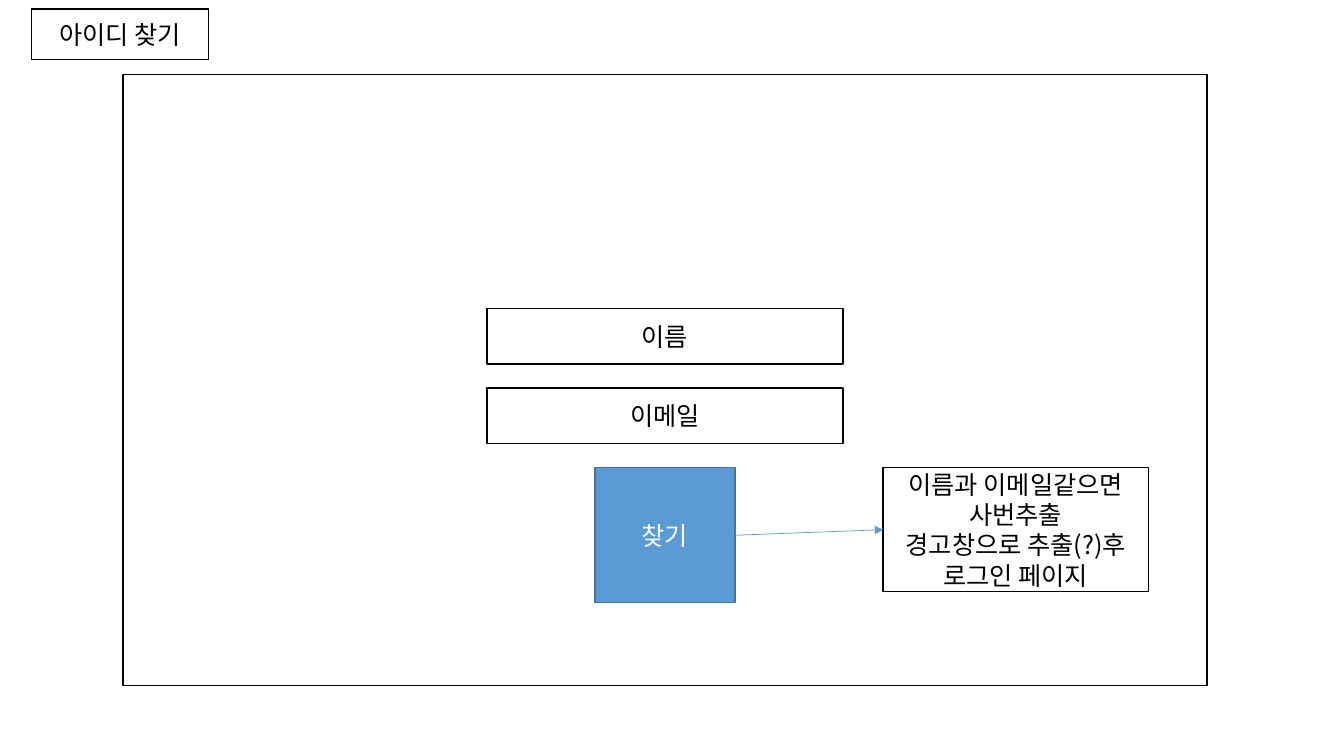
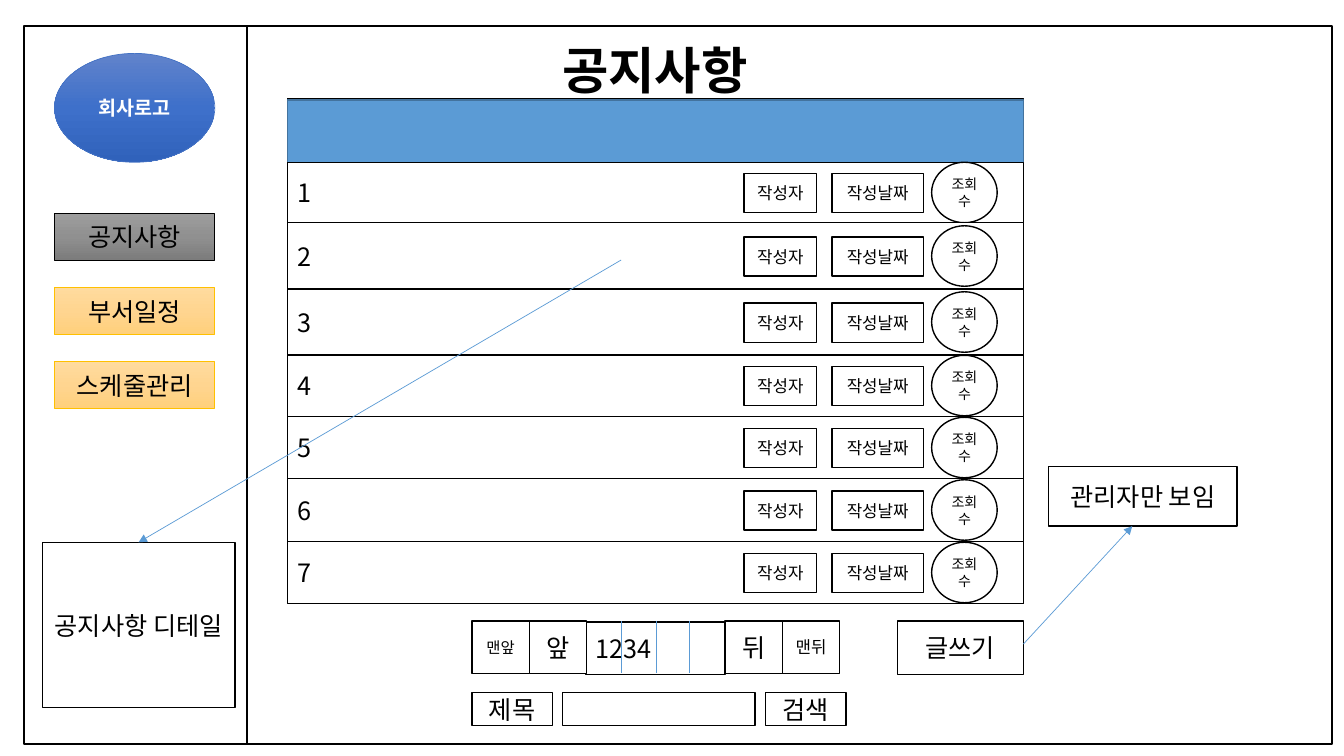
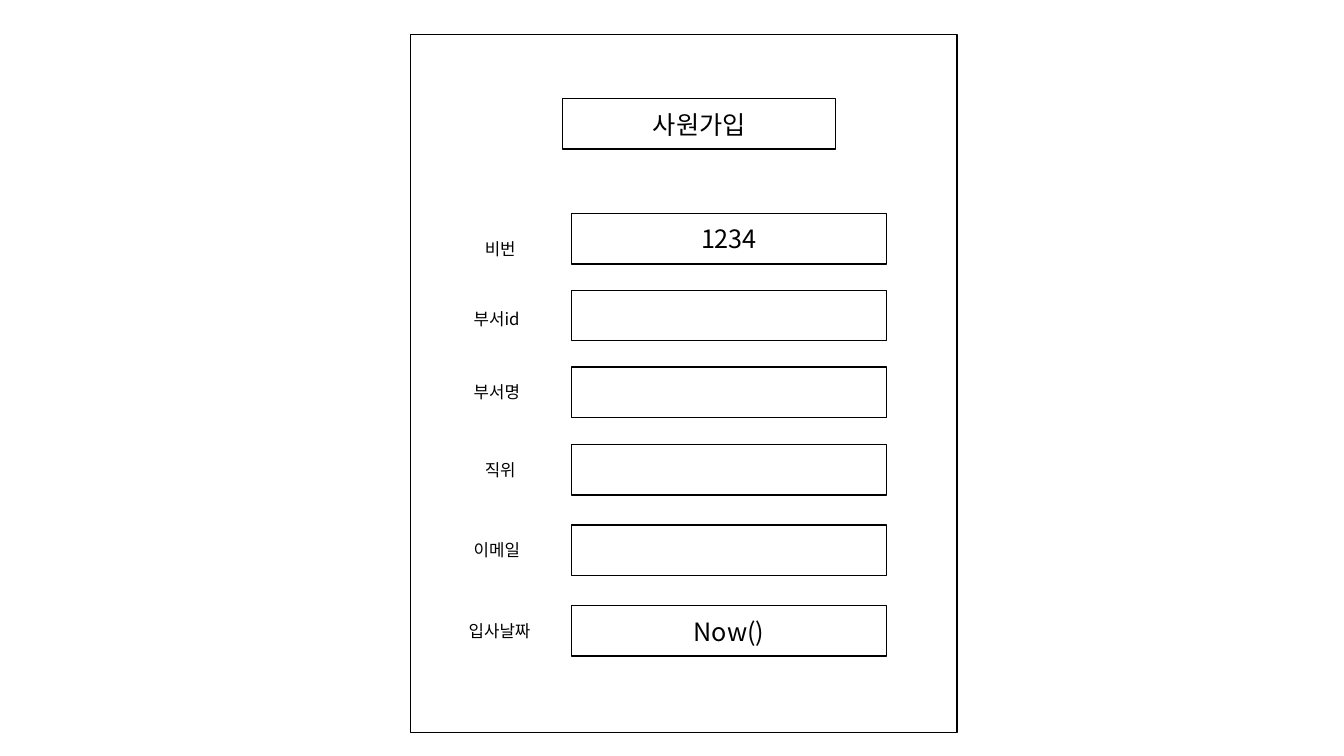
from copy import deepcopy

from lxml import etree
from pptx import Presentation
from pptx.dml.color import RGBColor
from pptx.enum import shapes, text
from pptx.oxml.ns import qn
from pptx.util import Inches, Pt

FONT = "Noto Sans CJK KR"
BLACK = RGBColor(0x00, 0x00, 0x00)
WHITE = RGBColor(0xFF, 0xFF, 0xFF)
BLUE = RGBColor(0x5B, 0x9B, 0xD5)
BLUE_EDGE = RGBColor(0x43, 0x73, 0x9E)
LOGO_EDGE = RGBColor(0x44, 0x72, 0xC4)
GOLD_EDGE = RGBColor(0xFF, 0xC0, 0x00)
GRAY_FADE = [RGBColor(0x9D, 0x9D, 0x9D), RGBColor(0x90, 0x90, 0x90), RGBColor(0x7C, 0x7C, 0x7C)]
LOGO_FADE = [RGBColor(0x61, 0x83, 0xCB), RGBColor(0x3E, 0x70, 0xCA), RGBColor(0x30, 0x62, 0xBB)]
GOLD_FADE = [RGBColor(0xFF, 0xDB, 0x9E), RGBColor(0xFF, 0xD5, 0x90), RGBColor(0xFF, 0xD0, 0x7C)]
RECT = shapes.MSO_SHAPE.RECTANGLE
OVAL = shapes.MSO_SHAPE.OVAL
CENTER = text.PP_ALIGN.CENTER
LEFT = text.PP_ALIGN.LEFT
TITLE = "title"


def write(tf, words, size=18, color=BLACK, bold=False, align=CENTER):
    tf.word_wrap = True
    for i, line in enumerate(words.split("\n")):
        p = tf.add_paragraph() if i else tf.paragraphs[0]
        p.alignment = align
        r = p.add_run()
        r.text = line
        r.font.name = FONT
        r.font.size = Pt(size)
        r.font.bold = bold
        r.font.color.rgb = color
        etree.SubElement(r.font._element, qn("a:ea"), typeface=FONT)


def box(s, left, top, width, height, words="", kind=RECT, fill=WHITE,
        edge=BLACK, weight=1, **style):
    at = [Inches(v) for v in (left, top, width, height)]
    if kind == TITLE:
        sp = s.shapes.title
        sp.left, sp.top, sp.width, sp.height = at
        s.shapes._spTree.append(sp._element)
        sp.text_frame.auto_size = text.MSO_AUTO_SIZE.NONE
    else:
        sp = s.shapes.add_shape(kind, *at)
    sp.shadow.inherit = False
    if isinstance(fill, list):
        sp.fill.gradient()
        sp.fill.gradient_angle = 270
        stops = sp._element.spPr.find(".//" + qn("a:gsLst"))
        stops.append(deepcopy(stops[0]))
        for stop, position, color in zip(sp.fill.gradient_stops, (0, 0.5, 1), fill):
            stop.position = position
            stop.color.rgb = color
    else:
        sp.fill.solid()
        sp.fill.fore_color.rgb = fill
    sp.line.color.rgb = edge
    sp.line.width = Pt(weight)
    sp.text_frame.vertical_anchor = text.MSO_ANCHOR.MIDDLE
    if words:
        write(sp.text_frame, words, **style)
    return sp


prs = Presentation()
prs.slide_width = Inches(13.33)
prs.slide_height = Inches(7.5)
find_id, notices, sign_up = [prs.slides.add_slide(prs.slide_layouts[5]) for _ in range(3)]

box(find_id, 1.22, 0.74, 10.75, 6.06)
box(find_id, 0.31, 0.09, 1.76, 0.5, "아이디 찾기", TITLE)
for i, field in enumerate(["이름", "이메일"]):
    box(find_id, 4.83, 3.06 + 0.79 * i, 3.53, 0.55, field)
search = box(find_id, 5.9, 4.64, 1.39, 1.34, "찾기", fill=BLUE, edge=BLUE_EDGE, color=WHITE)
result = box(find_id, 8.76, 4.64, 2.63, 1.23,
             "이름과 이메일같으면 사번추출\n경고창으로 추출(?)후 로그인 페이지")

box(notices, 0.24, 0.26, 12.97, 7.12)
box(notices, 0.24, 0.26, 2.21, 7.12)
box(notices, 0.54, 0.53, 1.59, 1.08, "회사로고", OVAL, LOGO_FADE, LOGO_EDGE, 0.5,
    size=14, color=WHITE, bold=True)
menu = [("공지사항", GRAY_FADE, BLACK), ("부서일정", GOLD_FADE, GOLD_EDGE),
        ("스케줄관리", GOLD_FADE, GOLD_EDGE)]
for i, (item, fade, edge) in enumerate(menu):
    box(notices, 0.54, 2.12 + 0.735 * i, 1.59, 0.46, item, fill=fade, edge=edge, weight=0.5)
box(notices, 4.86, 0.53, 3.27, 0.32, "공지사항", TITLE, edge=WHITE, size=36, bold=True)
box(notices, 2.85, 0.98, 7.3, 5.01)
box(notices, 2.85, 0.99, 7.3, 0.62, fill=BLUE, edge=BLUE_EDGE)

row_edges = [1.61, 2.21, 2.87, 3.52, 4.13, 4.75, 5.37, 5.99]
for number, (top, bottom) in enumerate(zip(row_edges, row_edges[1:]), 1):
    middle = (top + bottom) / 2
    box(notices, 2.85, top, 7.3, bottom - top, str(number), align=LEFT)
    box(notices, 7.38, middle - 0.19, 0.72, 0.39, "작성자", size=12)
    box(notices, 8.25, middle - 0.19, 0.91, 0.39, "작성날짜", size=12)
    box(notices, 9.24, middle - 0.3, 0.65, 0.6, "조회수", OVAL, size=10)

box(notices, 5.81, 6.17, 1.38, 0.52, "1234", align=text.PP_ALIGN.JUSTIFY)
for left, button, size in [(4.68, "맨앞", 11), (5.25, "앞", 18), (7.19, "뒤", 18), (7.76, "맨뒤", 12)]:
    box(notices, left, 6.16, 0.57, 0.52, button, size=size)
for left, width, part in [(4.68, 0.8, "제목"), (5.58, 1.91, ""), (7.59, 0.8, "검색")]:
    box(notices, left, 6.87, width, 0.33, part)
box(notices, 8.9, 6.16, 1.25, 0.53, "글쓰기")
box(notices, 10.4, 4.63, 1.87, 0.59, "관리자만 보임")
detail = box(notices, 0.42, 5.38, 1.91, 1.64, "공지사항 디테일")

box(sign_up, 4.07, 0.34, 5.42, 6.93)
box(sign_up, 5.58, 0.98, 2.71, 0.5, "사원가입", TITLE)
fields = [
    ("비번", 4.71, 2.32, 0.76, 2.12, "1234"),
    ("부서id", 4.6, 3.01, 0.78, 2.88, ""),
    ("부서명", 4.6, 3.74, 0.74, 3.64, ""),
    ("직위", 4.71, 4.51, 0.56, 4.41, ""),
    ("이메일", 4.6, 5.31, 0.74, 5.21, ""),
    ("입사날짜", 4.55, 6.11, 0.88, 6.01, "Now()"),
]
for label, left, label_top, width, top, value in fields:
    box(sign_up, 5.67, top, 3.12, 0.5, value)
    tb = sign_up.shapes.add_textbox(Inches(left), Inches(label_top), Inches(width), Inches(0.3))
    write(tb.text_frame, label, size=12, align=LEFT)
    tb.text_frame.auto_size = text.MSO_AUTO_SIZE.SHAPE_TO_FIT_TEXT

links = [
    (find_id, 7.29, 5.31, 8.76, 5.25, True, search, result, 1),
    (notices, 6.16, 2.58, 1.37, 5.38, True, None, detail, 0),
    (notices, 10.15, 6.39, 11.23, 5.22, True, None, None, 0),
]
for x in (6.16, 6.51, 6.84):
    links.append((notices, x, 6.16, x, 6.68, False, None, None, 0))
for s, x1, y1, x2, y2, arrow, source, target, side in links:
    cx = s.shapes.add_connector(shapes.MSO_CONNECTOR.STRAIGHT,
                                Inches(x1), Inches(y1), Inches(x2), Inches(y2))
    cx.line.color.rgb = BLUE
    cx.line.width = Pt(0.5)
    if arrow:
        etree.SubElement(cx.line._get_or_add_ln(), qn("a:tailEnd"), type="triangle")
    etree.SubElement(cx._element.spPr, qn("a:effectLst"))
    if source:
        cx.begin_connect(source, 3)
    if target:
        cx.end_connect(target, side)

prs.save("out.pptx")
